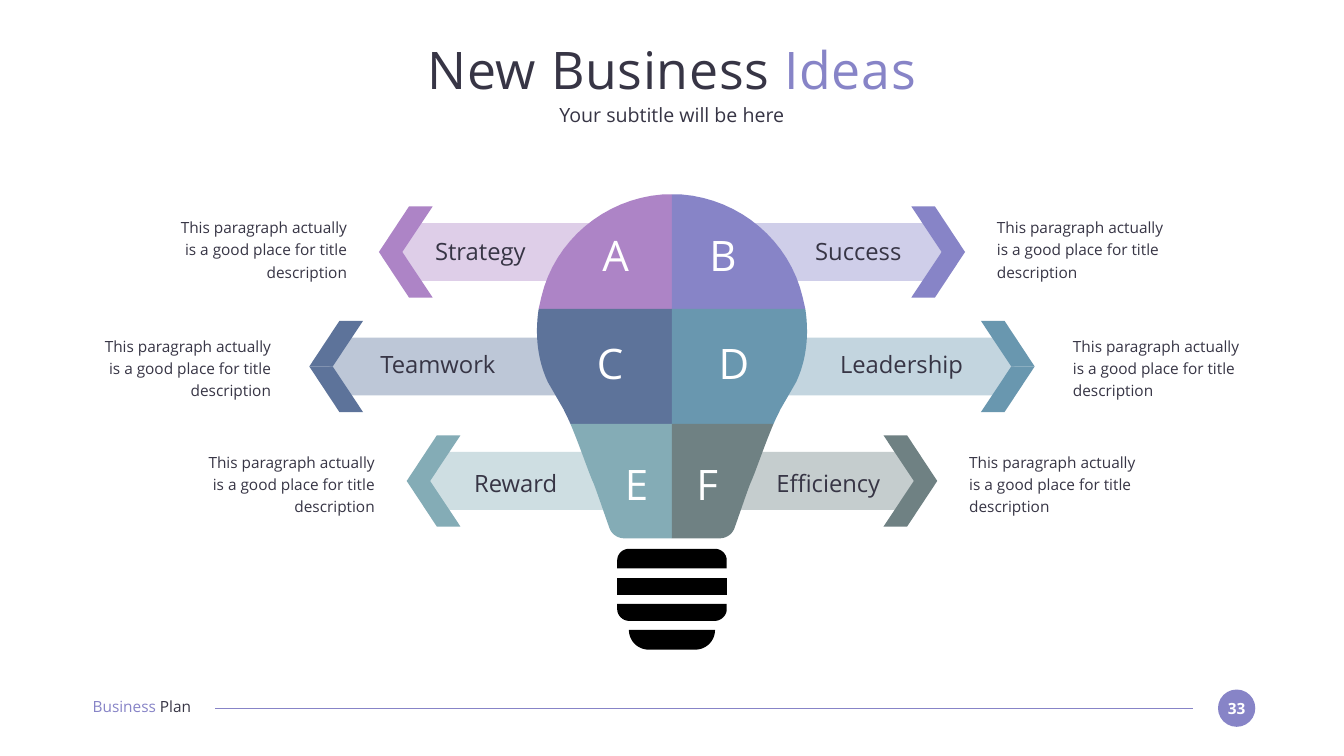
import pptx
import pptx.dml.color
import pptx.enum.shapes
import pptx.enum.text
import pptx.oxml.ns
import pptx.util
from lxml import etree

Cm = pptx.util.Cm
ALIGN = pptx.enum.text.PP_ALIGN
ANCHOR = pptx.enum.text.MSO_ANCHOR
SHAPE = pptx.enum.shapes.MSO_SHAPE

COLOURS = {
    "ink": "373545", "white": "FFFFFF", "black": "000000",
    "mauve": "AD84C6", "violet": "8784C7", "navy": "5D739A",
    "blue": "6997AF", "teal": "84ACB6", "slate": "6F8183",
    "mauve_tint": "DECEE8", "violet_tint": "CFCEE9", "navy_tint": "BDC7D7",
    "blue_tint": "C3D5DF", "teal_tint": "CEDEE2", "slate_tint": "C5CDCE",
}
CENTRE = 33.87  # bulb axis; x values below are distances from it
DESCRIPTION = "This paragraph actually is a good place for title description"

# Each arm: (colour, letter, letter distance, label, label distance), left then right
ROWS = [
    dict(y=12.7, tip=14.77, band_start=1.61, letter_top=11.56, label_top=11.94,
         label_width=6.81, text_start=16.38, text_top=10.82,
         arms=[("mauve", "A", 2.84, "Strategy", 9.66),
               ("violet", "B", 2.57, "Success", 9.39)]),
    dict(y=18.47, tip=18.28, band_start=1.61, letter_top=16.99, label_top=17.65,
         label_width=9.4, text_start=20.21, text_top=16.81,
         arms=[("navy", "C", 3.12, "Teamwork", 11.8),
               ("blue", "D", 3.12, "Leadership", 11.57)]),
    dict(y=24.24, tip=13.37, band_start=0.22, letter_top=23.09, label_top=23.62,
         label_width=6.81, text_start=14.98, text_top=22.63,
         arms=[("teal", "E", 1.78, "Reward", 7.88),
               ("slate", "F", 1.78, "Efficiency", 7.88)]),
]

# Half outlines: a pair is a corner, six numbers are a Bézier curve
BULB = [
    [(0, 15.57), (0, 9.8), (0.48, 9.8),
     (3.42, 10.03, 5.93, 12.14, 6.59, 14.99), (6.72, 15.57)],
    [(0, 21.36), (0, 15.57), (6.72, 15.57),
     (6.92, 16.89, 6.77, 18.16, 6.26, 19.25), (5.47, 20.62),
     (5.37, 20.83, 5.24, 21.08, 5.12, 21.36)],
    [(0, 27.13), (0, 21.36), (5.12, 21.36),
     (4.66, 22.43, 4.18, 23.88, 3.95, 24.36),
     (3.77, 24.82, 3.42, 25.86, 3.16, 26.59),
     (3.06, 26.9, 2.76, 27.13, 2.4, 27.13)],
]
SOCKET = [
    [(2.17, 27.66), (2.48, 27.66, 2.76, 27.91, 2.76, 28.24), (2.76, 28.65)],
    [(2.76, 29.11), (2.76, 29.97)],
    [(2.76, 30.43), (2.76, 30.71), (2.76, 31.01, 2.48, 31.29, 2.17, 31.29)],
    [(2.17, 31.75), (2.17, 32.31, 1.71, 32.74, 1.18, 32.74)],
]


def rgb(name):
    return pptx.dml.color.RGBColor.from_string(COLOURS[name])


def flatten(outline, steps=16):
    """Turn corners and Bézier curves into a list of points."""
    points = []
    for part in outline:
        if len(part) == 2:
            points.append(part)
            continue
        x0, y0 = points[-1]
        x1, y1, x2, y2, x3, y3 = part
        for step in range(1, steps + 1):
            t = step / steps
            a, b, c, d = (1 - t) ** 3, 3 * t * (1 - t) ** 2, 3 * t * t * (1 - t), t ** 3
            points.append((a * x0 + b * x1 + c * x2 + d * x3,
                           a * y0 + b * y1 + c * y2 + d * y3))
    return points


def write_text(frame, *runs, size=22, align=ALIGN.LEFT, anchor=ANCHOR.TOP,
               bold=False, line_spacing=None, tracking=None):
    """Fill a frame with one paragraph of (text, colour) runs."""
    frame.word_wrap = True
    frame.auto_size = pptx.enum.text.MSO_AUTO_SIZE.NONE
    frame.margin_left = frame.margin_right = frame.margin_top = frame.margin_bottom = 0
    frame.vertical_anchor = anchor
    paragraph = frame.paragraphs[0]
    paragraph.alignment = align
    paragraph.space_before = pptx.util.Pt(0)
    if line_spacing:
        paragraph.line_spacing = line_spacing
    for text, colour in runs:
        run = paragraph.add_run()
        run.text = text
        run.font.name = "Open Sans"
        run.font.size = pptx.util.Pt(size)
        run.font.bold = bold
        run.font.color.rgb = rgb(colour)
        if tracking:
            run.font._element.set("spc", str(tracking * 100))
    return paragraph


class SlideBuilder:
    def __init__(self, slide):
        self.slide = slide
        self.shapes = slide.shapes

    def placeholder(self, index, box, *runs, **style):
        shape = self.slide.placeholders[index]
        shape.left, shape.top, shape.width, shape.height = map(Cm, box)
        paragraph = write_text(shape.text_frame, *runs, align=ALIGN.CENTER,
                               anchor=ANCHOR.MIDDLE, **style)
        properties = paragraph._p.get_or_add_pPr()
        properties.set("marL", "0")
        properties.set("indent", "0")
        etree.SubElement(properties, pptx.oxml.ns.qn("a:buNone"))

    def text(self, box, *runs, **style):
        shape = self.shapes.add_textbox(*map(Cm, box))
        write_text(shape.text_frame, *runs, **style)

    def fill(self, shape, colour):
        shape.shadow.inherit = False
        shape.fill.solid()
        shape.fill.fore_color.rgb = rgb(colour)
        shape.line.fill.background()

    def outline(self, points, colour, side=1):
        corners = [(Cm(CENTRE + side * x), Cm(y)) for x, y in points]
        builder = self.shapes.build_freeform(*corners[0])
        builder.add_line_segments(corners[1:], close=True)
        self.fill(builder.convert_to_shape(), colour)

    def badge(self, box, text, colour):
        shape = self.shapes.add_shape(SHAPE.OVAL, *map(Cm, box))
        self.fill(shape, colour)
        write_text(shape.text_frame, (text, "white"), bold=True,
                   align=ALIGN.CENTER, anchor=ANCHOR.MIDDLE)

    def line(self, x1, y1, x2, y2, colour):
        connector = self.shapes.add_connector(
            pptx.enum.shapes.MSO_CONNECTOR.STRAIGHT, Cm(x1), Cm(y1), Cm(x2), Cm(y2))
        connector.line.color.rgb = rgb(colour)
        connector.line.width = pptx.util.Pt(1.5)
        etree.SubElement(connector._element.spPr, pptx.oxml.ns.qn("a:effectLst"))

    def arm(self, row, colour, side):
        y, tip, start = row["y"], row["tip"], row["band_start"]
        end, shoulder = tip - 1.02, tip - 1.9
        self.outline([(shoulder, y + 1.46), (start, y + 1.46), (start, y - 1.46),
                      (shoulder, y - 1.46), (end, y)], colour + "_tint", side)
        for edge in (y - 2.3, y + 2.3):
            self.outline([(tip, y), (tip - 1.18, y), (tip - 2.71, edge),
                          (tip - 1.52, edge)], colour, side)

    def centred_text(self, x, top, width, height, text, colour, size):
        self.text((x - width / 2, top, width, height), (text, colour),
                  size=size, align=ALIGN.CENTER)


def main():
    presentation = pptx.Presentation()
    presentation.slide_width, presentation.slide_height = Cm(67.74), Cm(38.1)
    slide = presentation.slides.add_slide(presentation.slide_layouts[1])
    builder = SlideBuilder(slide)

    # Footer
    builder.badge((61.39, 34.75, 1.88, 1.88), "33", "violet")
    builder.line(60.12, 35.69, 10.85, 35.69, "violet")
    builder.text((4.67, 35.15, 6.58, 0.94), ("Business ", "violet"), ("Plan", "ink"))

    # Title and subtitle
    builder.placeholder(0, (4.65, 1.85, 58.42, 3.23), ("New Business ", "ink"),
                        ("Ideas", "violet"), size=74, tracking=1)
    builder.placeholder(1, (4.65, 5.16, 58.42, 1.24),
                        ("Your subtitle will be here", "ink"), size=28)

    # Arms behind the bulb
    arms = [(row, side, *arm) for row in ROWS for side, arm in zip((-1, 1), row["arms"])]
    for row, side, colour, *_ in arms:
        builder.arm(row, colour, side)

    # Bulb and socket
    for row, outline in zip(ROWS, BULB):
        for side, arm in zip((-1, 1), row["arms"]):
            builder.outline(flatten(outline), arm[0], side)
    for outline in SOCKET:
        half = flatten(outline)
        builder.outline(half + [(-x, y) for x, y in reversed(half)], "black")

    # Letters, labels and descriptions
    for row, side, _, letter, letter_x, label, label_x in arms:
        builder.centred_text(CENTRE + side * letter_x, row["letter_top"],
                             2.72, 2.57, letter, "white", 60)
        builder.centred_text(CENTRE + side * label_x, row["label_top"],
                             row["label_width"], 1.45, label, "ink", 34)
        width = 8.99
        left = CENTRE + side * (row["text_start"] + width / 2) - width / 2
        builder.text((left, row["text_top"], width, 3.38), (DESCRIPTION, "ink"),
                     align=ALIGN.RIGHT if side < 0 else ALIGN.LEFT, line_spacing=1.2)

    presentation.save("out.pptx")


if __name__ == "__main__":
    main()
